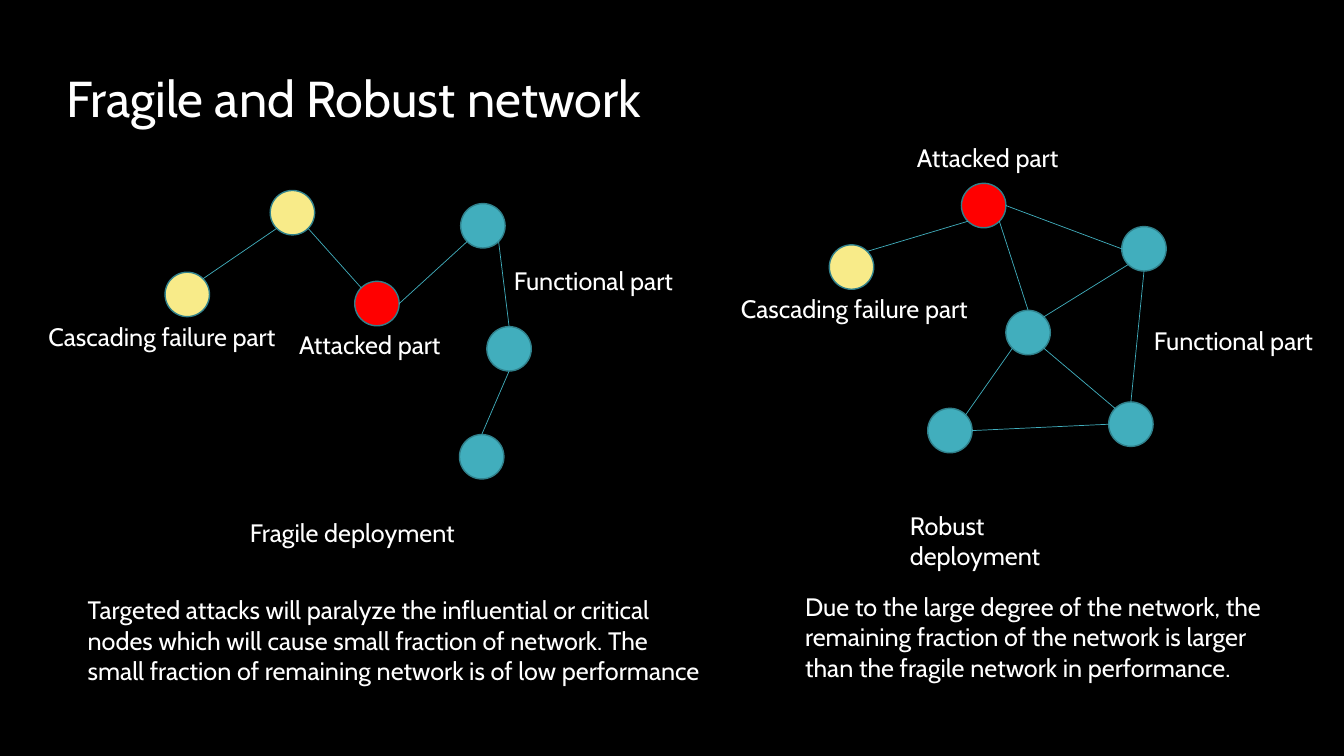
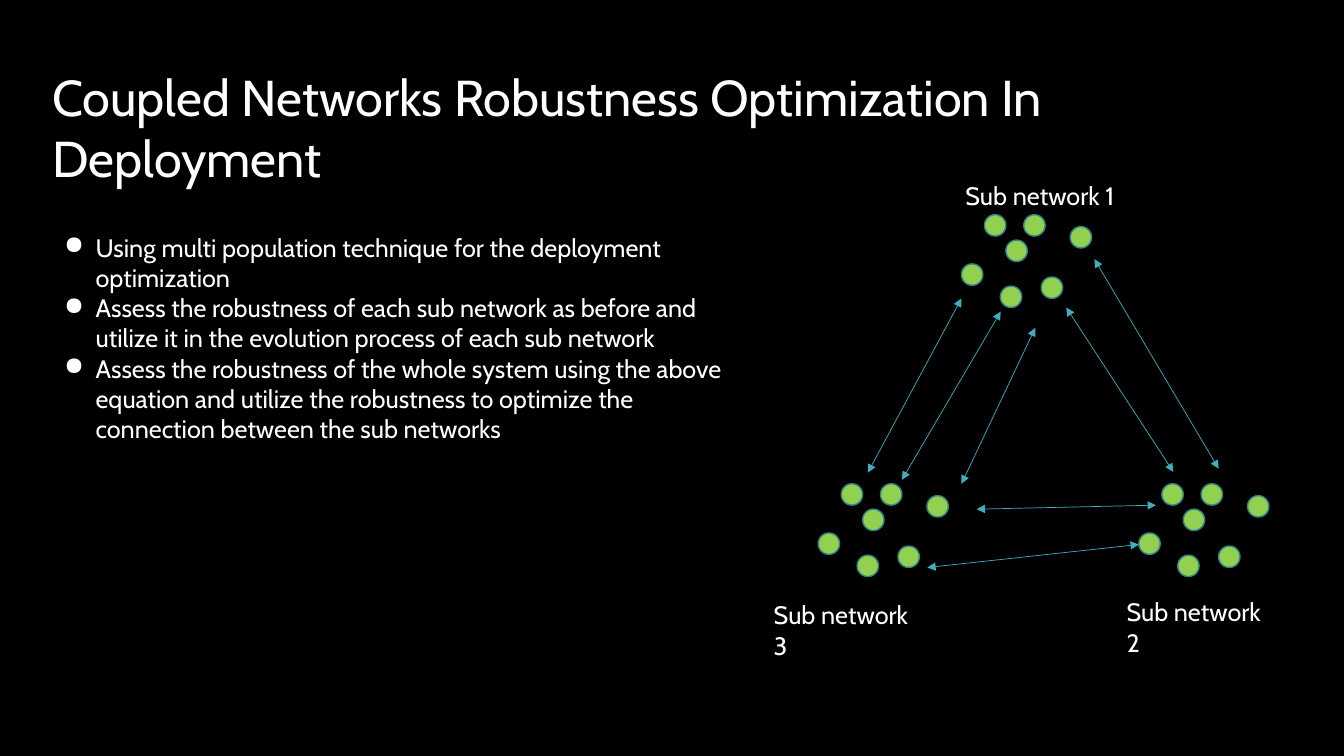
from math import sqrt

from pptx import Presentation
from pptx.dml.color import RGBColor
from pptx.enum.shapes import MSO_CONNECTOR as CONN, MSO_SHAPE as SHAPE
from pptx.oxml.xmlchemy import OxmlElement as Element
from pptx.util import Cm, Pt

# Shared style
COLORS = {
    "background": "000000",
    "text": "FFFFFF",
    "outline": "30818C",
    "functional": "41AEBD",
    "failing": "F8EB89",
    "attacked": "FF0000",
    "member": "92D050",
}
FONT = "Cabin"
TITLE_SIZE, TEXT_SIZE = 36, 18
NODE, DOT = 1.12, 0.54
INDENT = 0.79

# Compass points on a circle of radius 1
D = 1 / sqrt(2)
SIDES = {"N": (0, -1), "NE": (D, -D), "E": (1, 0), "SE": (D, D),
         "S": (0, 1), "SW": (-D, D), "W": (-1, 0), "NW": (-D, -D)}

# Networks: node name -> (kind, centre x, centre y); links join node sides
FRAGILE_NODES = {
    "leaf": ("failing", 4.72, 7.42),
    "bridge": ("failing", 7.37, 5.36),
    "target": ("attacked", 9.5, 7.65),
    "top": ("functional", 12.17, 5.69),
    "middle": ("functional", 12.83, 8.79),
    "bottom": ("functional", 12.14, 11.51),
}
FRAGILE_LINKS = [
    ("leaf", "NE", "bridge", "SW"),
    ("bridge", "SE", "target", "NW"),
    ("top", "SW", "target", "E"),
    ("middle", "N", "top", "SE"),
    ("bottom", "N", "middle", "S"),
]
FRAGILE_LABELS = [
    ("Cascading failure part", 0.97, 7.98, 6.3),
    ("Attacked part", 7.29, 8.18, 4.2),
    ("Functional part", 12.7, 6.55, 4.6),
]
ROBUST_NODES = {
    "leaf": ("failing", 21.46, 6.73),
    "target": ("attacked", 24.79, 5.18),
    "centre": ("functional", 25.91, 8.38),
    "upper right": ("functional", 28.83, 6.27),
    "lower right": ("functional", 28.5, 10.69),
    "lower left": ("functional", 23.94, 10.85),
}
ROBUST_LINKS = [
    ("leaf", "NE", "target", "SW"),
    ("target", "E", "upper right", "W"),
    ("centre", "NE", "upper right", "SW"),
    ("centre", "SE", "lower right", "NW"),
    ("upper right", "S", "lower right", "N"),
    ("lower left", "E", "lower right", "W"),
    ("centre", "SW", "lower left", "NE"),
    ("target", "SE", "centre", "N"),
]
ROBUST_LABELS = [
    ("Functional part", 28.83, 8.08, 4.6),
    ("Attacked part", 22.86, 3.45, 4.2),
    ("Cascading failure part", 18.42, 7.26, 6.3),
]

# Sub networks: one dot pattern placed at three corners
PATTERN = [(0.58, 0), (1.57, 0), (2.01, 1.57), (0.98, 1.8),
           (2.74, 0.3), (1.12, 0.64), (0, 1.24)]
CORNERS = [(20.62, 12.19), (24.23, 5.41), (28.7, 12.19)]
COUPLINGS = [
    ((21.87, 11.91), (24.23, 7.52)),
    ((22.73, 12.09), (25.22, 7.85)),
    ((24.23, 12.19), (26.09, 8.26)),
    ((24.61, 12.83), (29.13, 12.73)),
    ((23.37, 14.3), (28.7, 13.72)),
    ((26.87, 7.75), (29.57, 11.89)),
    ((27.58, 6.53), (30.71, 11.81)),
]
SUB_LABELS = [
    ("Sub network 2", 28.14, 14.91, 4.2),
    ("Sub network 1", 24.08, 4.42, 4.4),
    ("Sub network 3", 19.25, 14.99, 4.2),
]
POINTS = [
    "Using multi population technique for the deployment optimization",
    "Assess the robustness of each sub network as before and utilize it "
    "in the evolution process of each sub network",
    "Assess the robustness of the whole system using the above equation "
    "and utilize the robustness to optimize the connection between the "
    "sub networks",
]


def rgb(name):
    return RGBColor.from_string(COLORS[name])


# Text
def add_bullet(p):
    pPr = p._p.get_or_add_pPr()
    pPr.set("marL", str(Cm(INDENT)))
    pPr.set("indent", str(-Cm(INDENT)))
    bullet = Element("a:buChar")
    bullet.set("char", "●")
    pPr.append(bullet)


def add_text(shapes, lines, x, y, w, h=1.02, size=TEXT_SIZE, bullets=False):
    sp = shapes.add_textbox(Cm(x), Cm(y), Cm(w), Cm(h))
    tf = sp.text_frame
    tf.word_wrap = True
    for i, line in enumerate(lines):
        p = tf.add_paragraph() if i else tf.paragraphs[0]
        if bullets:
            add_bullet(p)
        r = p.add_run()
        r.text = line
        r.font.name = FONT
        r.font.size = Pt(size)
        r.font.color.rgb = rgb("text")


def add_title(slide, text, x, y, w):
    add_text(slide.shapes, [text], x, y, w, 1.8, TITLE_SIZE)


def add_labels(shapes, labels):
    for text, x, y, w in labels:
        add_text(shapes, [text], x, y, w)


# Circles and lines
def add_circle(shapes, x, y, size, color):
    sp = shapes.add_shape(SHAPE.OVAL, Cm(x), Cm(y), Cm(size), Cm(size))
    sp.shadow.inherit = False
    sp.fill.solid()
    sp.fill.fore_color.rgb = rgb(color)
    sp.line.color.rgb = rgb("outline")
    sp.line.width = Pt(1)


def add_line(shapes, start, end, arrows=False):
    sp = shapes.add_connector(CONN.STRAIGHT, *map(Cm, start + end))
    sp.line.color.rgb = rgb("functional")
    sp.line.width = Pt(0.5)
    if arrows:
        for tag in ("a:headEnd", "a:tailEnd"):
            tip = Element(tag)
            tip.set("type", "triangle")
            sp.line._get_or_add_ln().append(tip)
    sp._element.spPr.append(Element("a:effectLst"))


# Diagrams
def add_network(slide, nodes, links, labels):
    shapes = slide.shapes.add_group_shape().shapes

    def side_point(name, side):
        _, x, y = nodes[name]
        dx, dy = SIDES[side]
        return x + dx * NODE / 2, y + dy * NODE / 2

    for kind, x, y in nodes.values():
        add_circle(shapes, x - NODE / 2, y - NODE / 2, NODE, kind)
    for a, a_side, b, b_side in links:
        add_line(shapes, side_point(a, a_side), side_point(b, b_side))
    add_labels(shapes, labels)


def add_coupled_networks(slide):
    shapes = slide.shapes.add_group_shape().shapes
    for left, top in CORNERS:
        for dx, dy in PATTERN:
            add_circle(shapes, left + dx, top + dy, DOT, "member")
    for start, end in COUPLINGS:
        add_line(shapes, start, end, arrows=True)
    add_labels(shapes, SUB_LABELS)


# Slides
def build_comparison(slide):
    add_title(slide, "Fragile and Robust network", 1.42, 1.57, 15.2)
    add_labels(slide.shapes, [("Fragile deployment", 6.05, 12.9, 5.8),
                              ("Robust deployment", 22.68, 12.73, 5.6)])
    add_text(slide.shapes, [
        "Targeted attacks will paralyze the influential or critical nodes "
        "which will cause small fraction of network. The small fraction of "
        "remaining network is of low performance"], 1.96, 14.86, 16, 2.57)
    add_text(slide.shapes, [
        "Due to the large degree of the network, the remaining fraction of "
        "the network is larger than the fragile network in performance."],
        20.04, 14.78, 12.88, 2.57)
    add_network(slide, FRAGILE_NODES, FRAGILE_LINKS, FRAGILE_LABELS)
    add_network(slide, ROBUST_NODES, ROBUST_LINKS, ROBUST_LABELS)


def build_coupling(slide):
    add_title(slide, "Coupled Networks Robustness Optimization In Deployment",
              1.07, 1.55, 32)
    add_coupled_networks(slide)
    add_text(slide.shapes, POINTS, 1.37, 5.72, 17.48, 5.64, bullets=True)


def main():
    prs = Presentation()
    prs.slide_width, prs.slide_height = Cm(33.87), Cm(19.05)
    fill = prs.slide_master.background.fill
    fill.solid()
    fill.fore_color.rgb = rgb("background")
    for build in (build_comparison, build_coupling):
        build(prs.slides.add_slide(prs.slide_layouts[6]))
    prs.save("out.pptx")


main()
